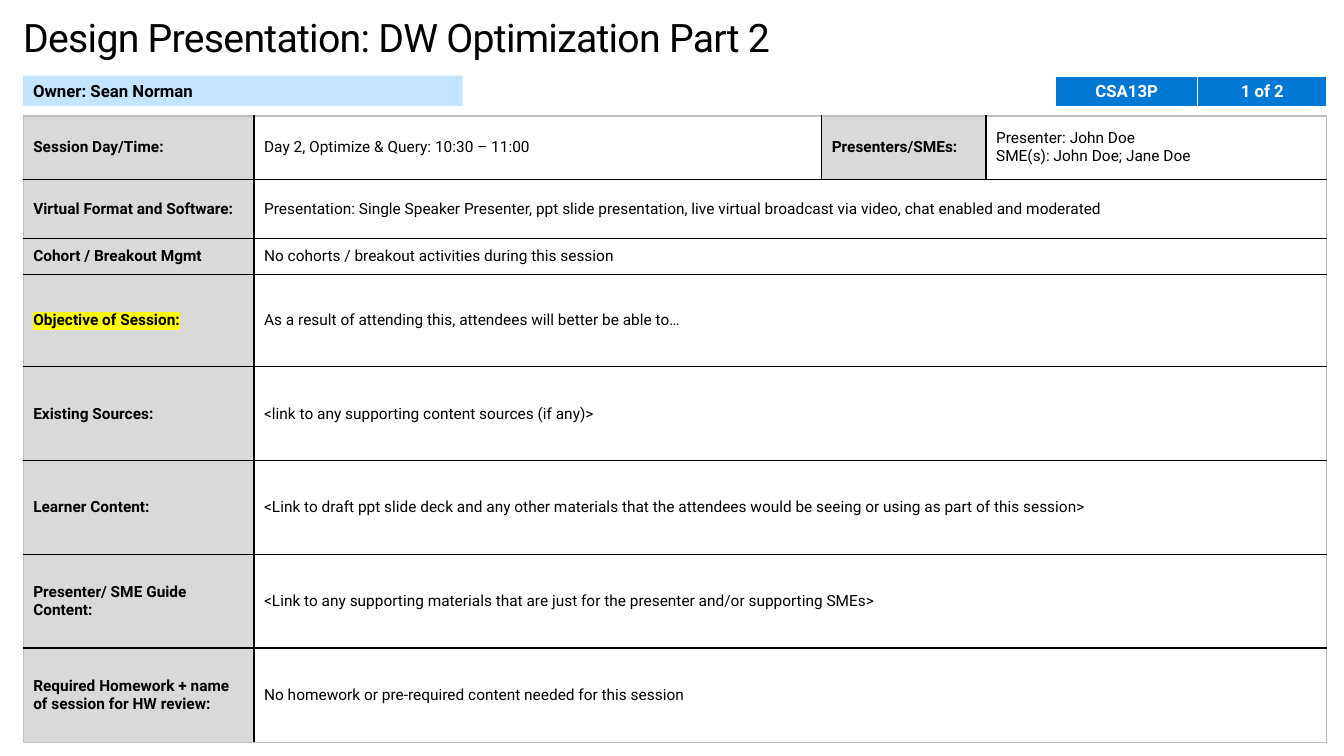
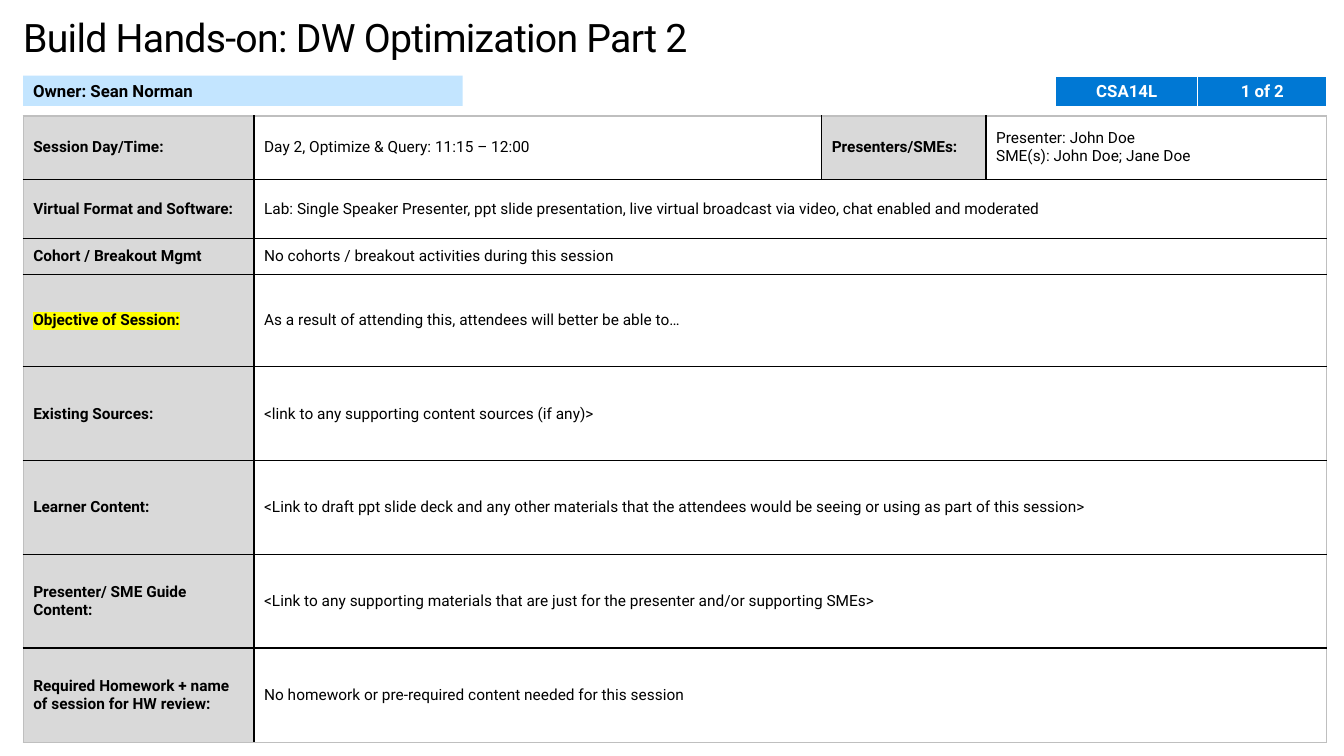
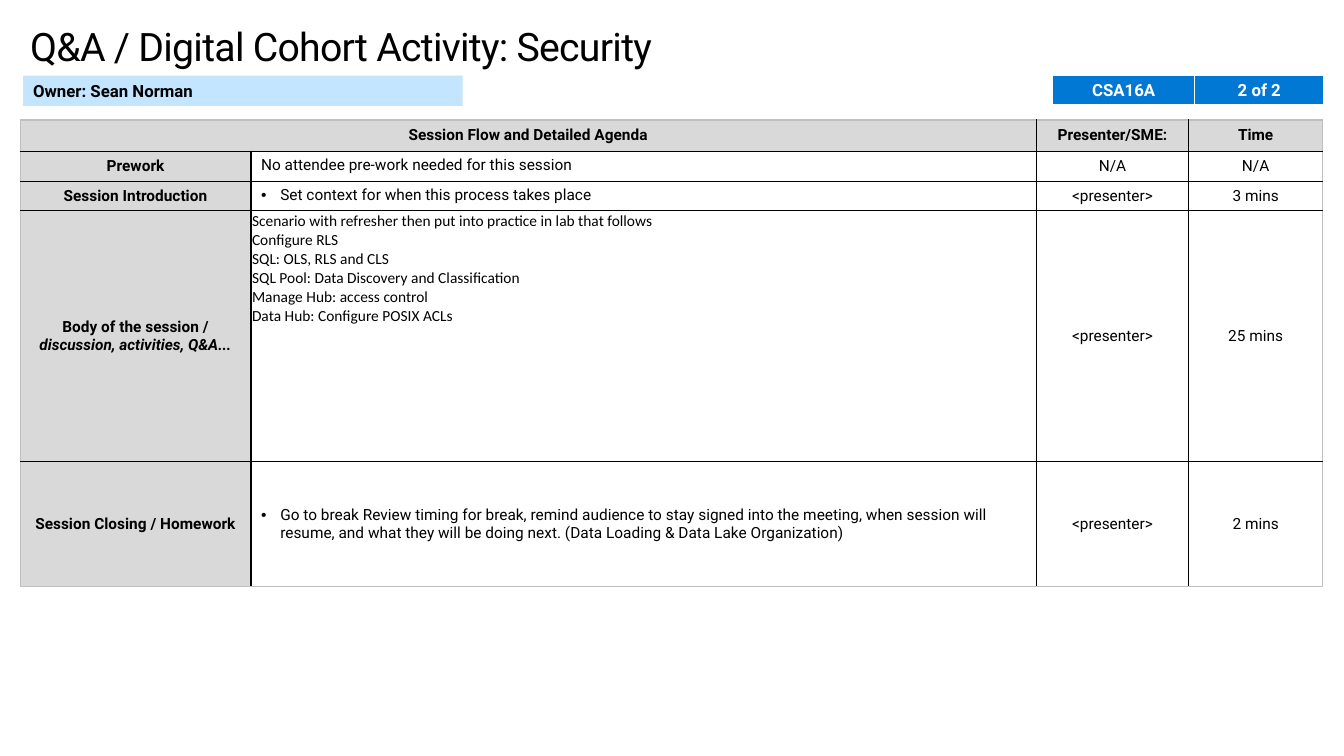
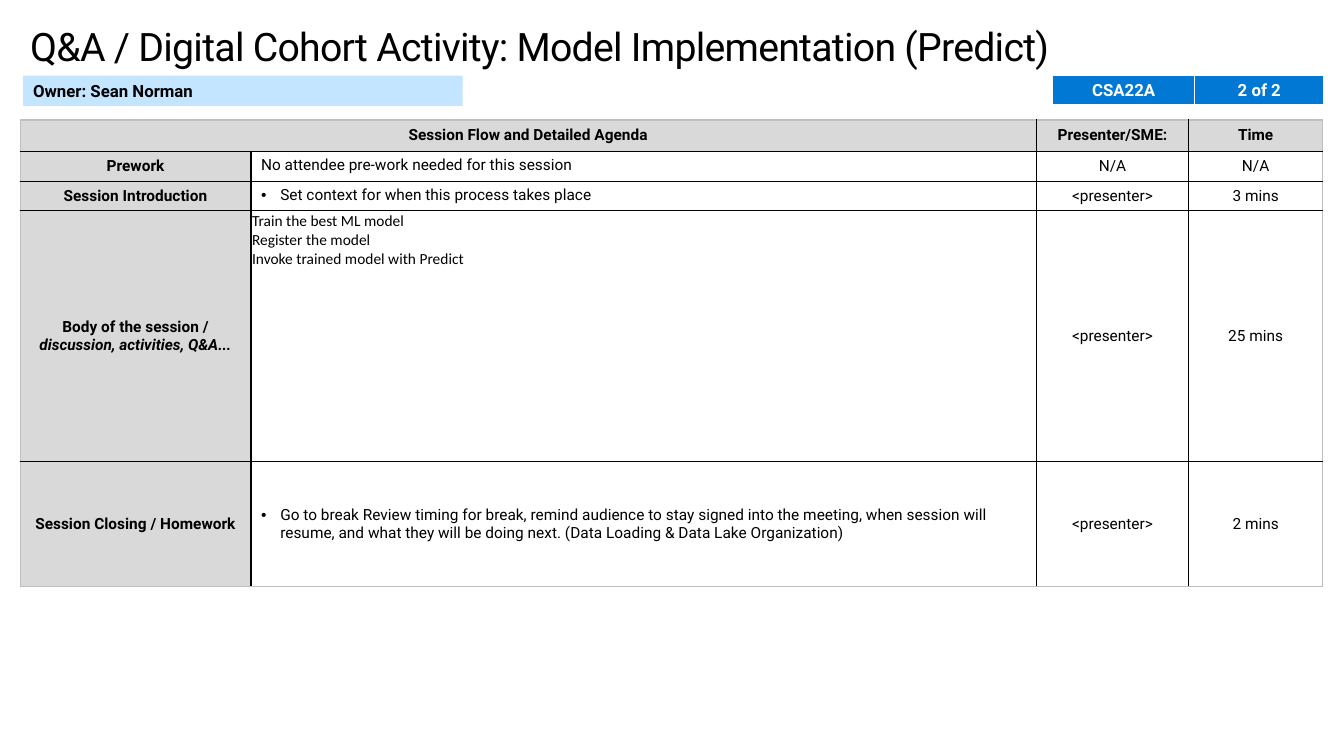
import pptx
import pptx.dml.color
import pptx.enum.shapes
import pptx.enum.text
import pptx.oxml
import pptx.oxml.ns
import pptx.util
import lxml.etree

Inches = pptx.util.Inches
Pt = pptx.util.Pt
qn = pptx.oxml.ns.qn
ALIGN = pptx.enum.text.PP_ALIGN
ANCHOR = pptx.enum.text.MSO_ANCHOR

COLORS = {
    "black": "000000",
    "white": "FFFFFF",
    "label": "D9D9D9",
    "frame": "BFBFBF",
    "owner": "C3E5FF",
    "code": "0078D4",
    "highlight": "FFFF00",
}
FONT = "Roboto"
GRID_EDGES = {side: ("frame", 1) for side in "LRTB"} | {"inner": ("black", 1)}
CODE_EDGES = {side: ("white", 1) for side in "LRT"} | {"B": ("white", 3), "inner": ("white", 1)}

OVERVIEW_COLUMNS = [2.29, 5.63, 1.63, 3.38]
OVERVIEW_ROWS = [0.63, 0.59, 0.35, 0.92, 0.93, 0.93, 0.93, 0.94]
AGENDA_COLUMNS = [2.29, 7.79, 1.51, 1.33]
AGENDA_ROWS = [0.31, 0.3, 0.29, 2.49, 1.24]

OVERVIEWS = [
    {
        "title": "Design Presentation: DW Optimization Part 2",
        "code": "CSA13P",
        "time": "Day 2, Optimize & Query: 10:30 – 11:00",
        "style": "Presentation",
    },
    {
        "title": "Build Hands-on: DW Optimization Part 2",
        "code": "CSA14L",
        "time": "Day 2, Optimize & Query: 11:15 – 12:00",
        "style": "Lab",
    },
]
AGENDAS = [
    {
        "title": "Q&A / Digital Cohort Activity: Security",
        "code": "CSA16A",
        "topics": [
            "Scenario with refresher then put into practice in lab that follows",
            "Configure RLS",
            "SQL: OLS, RLS and CLS",
            "SQL Pool: Data Discovery and Classification",
            "Manage Hub: access control",
            "Data Hub: Configure POSIX ACLs",
        ],
    },
    {
        "title": "Q&A / Digital Cohort Activity: Model Implementation (Predict)",
        "code": "CSA22A",
        "topics": [
            "Train the best ML model",
            "Register the model",
            "Invoke trained model with Predict",
        ],
    },
]


def rgb(name):
    return pptx.dml.color.RGBColor.from_string(COLORS[name])


def add_bullet(para):
    properties = para._p.get_or_add_pPr()
    properties.set("marL", str(Inches(0.19)))
    properties.set("indent", str(-Inches(0.19)))
    lxml.etree.SubElement(properties, qn("a:buFont")).set("typeface", "Arial")
    lxml.etree.SubElement(properties, qn("a:buChar")).set("char", "•")


def write(frame, lines, size=11, bold=False, color="black", font=FONT,
          align=ALIGN.LEFT, bullet=False, highlight=None, spacing=None):
    for index, line in enumerate([lines] if isinstance(lines, str) else lines):
        para = frame.paragraphs[0] if index == 0 else frame.add_paragraph()
        para.alignment = align
        if bullet:
            add_bullet(para)
        span = para.add_run()
        span.text = line
        span.font.size = Pt(size)
        span.font.bold = bold
        span.font.name = font
        span.font.color.rgb = rgb(color)
        properties = span._r.get_or_add_rPr()
        if spacing is not None:
            properties.set("spc", str(int(spacing * 100)))
        if highlight:
            mark = properties.makeelement(qn("a:highlight"), {})
            lxml.etree.SubElement(mark, qn("a:srgbClr")).set("val", COLORS[highlight])
            properties.find(qn("a:solidFill")).addnext(mark)


def fill_cell(cell, lines, fill="white", anchor=ANCHOR.MIDDLE, **style):
    cell.fill.solid()
    cell.fill.fore_color.rgb = rgb(fill)
    cell.vertical_anchor = anchor
    write(cell.text_frame, lines, **style)


def draw_edges(table, edges):
    last_row, last_column = len(table.rows) - 1, len(table.columns) - 1
    for row in range(last_row + 1):
        for column in range(last_column + 1):
            cell = table.cell(row, column)
            end = column + (cell.span_width - 1 if cell.is_merge_origin else 0)
            outer = {"L": column == 0, "R": end == last_column,
                     "T": row == 0, "B": row == last_row}
            sides = [side for side in "LRTB" if not (cell.is_spanned and side == "L")]
            properties = cell._tc.get_or_add_tcPr()
            for index, side in enumerate(sides):
                color, width = edges[side if outer[side] else "inner"]
                line = properties.makeelement(qn("a:ln" + side), {"w": str(Pt(width))})
                paint = lxml.etree.SubElement(line, qn("a:solidFill"))
                lxml.etree.SubElement(paint, qn("a:srgbClr")).set("val", COLORS[color])
                properties.insert(index, line)


def add_grid(page, left, top, columns, rows):
    table = page.shapes.add_table(
        len(rows), len(columns), Inches(left), Inches(top),
        Inches(sum(columns)), Inches(sum(rows))).table
    table.first_row = False
    table.horz_banding = False
    for column, width in zip(table.columns, columns):
        column.width = Inches(width)
    for row, height in zip(table.rows, rows):
        row.height = Inches(height)
    return table


def set_title(page, text, left, top, width, height, inset_x=0, inset_y=0):
    title = page.shapes.title
    title.left, title.top = Inches(left), Inches(top)
    title.width, title.height = Inches(width), Inches(height)
    frame = title.text_frame
    frame.word_wrap = True
    frame.auto_size = pptx.enum.text.MSO_AUTO_SIZE.NONE
    frame.vertical_anchor = ANCHOR.TOP
    frame.margin_left = frame.margin_right = Inches(inset_x)
    frame.margin_top = frame.margin_bottom = Inches(inset_y)
    write(frame, text, size=28, spacing=-0.5)


def add_owner(page, left, top, width, height):
    box = page.shapes.add_shape(
        pptx.enum.shapes.MSO_SHAPE.RECTANGLE,
        Inches(left), Inches(top), Inches(width), Inches(height))
    box.shadow.inherit = False
    box.fill.solid()
    box.fill.fore_color.rgb = rgb("owner")
    box.line.fill.background()
    box.text_frame.word_wrap = True
    box.text_frame.vertical_anchor = ANCHOR.MIDDLE
    write(box.text_frame, "Owner: Sean Norman", size=12, bold=True)


def add_code(page, code, part, left, top, height):
    table = add_grid(page, left, top, [1.41, 1.28], [height])
    for column, text in enumerate([code, part]):
        fill_cell(table.cell(0, column), text, fill="code", anchor=ANCHOR.TOP,
                  size=12, bold=True, color="white", align=ALIGN.CENTER)
    draw_edges(table, CODE_EDGES)


def add_overview(page, session, left, top):
    table = add_grid(page, left, top, OVERVIEW_COLUMNS, OVERVIEW_ROWS)
    entries = [
        ("Session Day/Time:", session["time"]),
        ("Virtual Format and Software:",
         session["style"] + ": Single Speaker Presenter, ppt slide presentation, "
         "live virtual broadcast via video, chat enabled and moderated"),
        ("Cohort / Breakout Mgmt", "No cohorts / breakout activities during this session"),
        ("Objective of Session:",
         "As a result of attending this, attendees will better be able to…"),
        ("Existing Sources:", "<link to any supporting content sources (if any)>"),
        ("Learner Content:",
         "<Link to draft ppt slide deck and any other materials that the attendees "
         "would be seeing or using as part of this session>"),
        ("Presenter/ SME Guide Content:",
         "<Link to any supporting materials that are just for the presenter "
         "and/or supporting SMEs>"),
        ("Required Homework + name of session for HW review:",
         "No homework or pre-required content needed for this session"),
    ]
    for row, (label, detail) in enumerate(entries):
        mark = "highlight" if label.startswith("Objective") else None
        fill_cell(table.cell(row, 0), label, fill="label", bold=True, highlight=mark)
        fill_cell(table.cell(row, 1), detail)
        if row > 0:
            table.cell(row, 1).merge(table.cell(row, 3))
    fill_cell(table.cell(0, 2), "Presenters/SMEs:", fill="label", bold=True)
    fill_cell(table.cell(0, 3), ["Presenter: John Doe", "SME(s): John Doe; Jane Doe"])
    draw_edges(table, GRID_EDGES)


def add_agenda(page, topics, left, top):
    table = add_grid(page, left, top, AGENDA_COLUMNS, AGENDA_ROWS)
    heading = {"fill": "label", "bold": True, "align": ALIGN.CENTER}
    for column, text in [(0, "Session Flow and Detailed Agenda"),
                         (2, "Presenter/SME:"), (3, "Time")]:
        fill_cell(table.cell(0, column), text, **heading)
    table.cell(0, 0).merge(table.cell(0, 1))
    entries = [
        ("Prework", "No attendee pre-work needed for this session",
         {"anchor": ANCHOR.TOP}, "N/A", "N/A"),
        ("Session Introduction", "Set context for when this process takes place",
         {"anchor": ANCHOR.TOP, "bullet": True}, "<presenter>", "3 mins"),
        (["Body of the session /", "discussion, activities, Q&A..."], topics,
         {"anchor": ANCHOR.TOP, "font": "Calibri"}, "<presenter>", "25 mins"),
        ("Session Closing / Homework",
         "Go to break Review timing for break, remind audience to stay signed into the "
         "meeting, when session will resume, and what they will be doing next. "
         "(Data Loading & Data Lake Organization)",
         {"bullet": True}, "<presenter>", "2 mins"),
    ]
    for row, (label, detail, style, presenter, time) in enumerate(entries, start=1):
        fill_cell(table.cell(row, 0), label, **heading)
        fill_cell(table.cell(row, 1), detail, **style)
        fill_cell(table.cell(row, 2), presenter, align=ALIGN.CENTER)
        fill_cell(table.cell(row, 3), time, align=ALIGN.CENTER)
    table.cell(3, 0).text_frame.paragraphs[1].runs[0].font.italic = True
    body = table.cell(3, 1)
    body.margin_left = body.margin_top = body.margin_right = Inches(0.01)
    body.margin_bottom = 0
    draw_edges(table, GRID_EDGES)


def add_page(deck):
    page = deck.slides.add_slide(deck.slide_layouts[5])
    add_owner(page, 0.23, 0.75, 4.36, 0.3)
    return page


def add_overview_page(deck, session):
    page = add_page(deck)
    set_title(page, session["title"], 0.23, 0.13, 12.87, 0.47)
    add_overview(page, session, 0.23, 1.15)
    add_code(page, session["code"], "1 of 2", 10.47, 0.76, 0.31)


def add_agenda_page(deck, session):
    page = add_page(deck)
    set_title(page, session["title"], 0.2, 0.17, 12.9, 0.57, inset_x=0.1, inset_y=0.05)
    add_agenda(page, session["topics"], 0.2, 1.19)
    add_code(page, session["code"], "2 of 2", 10.44, 0.75, 0.3)


def main():
    deck = pptx.Presentation()
    deck.slide_width, deck.slide_height = Inches(13.33), Inches(7.5)
    for session in OVERVIEWS:
        add_overview_page(deck, session)
    for session in AGENDAS:
        add_agenda_page(deck, session)
    deck.save("out.pptx")


if __name__ == "__main__":
    main()
